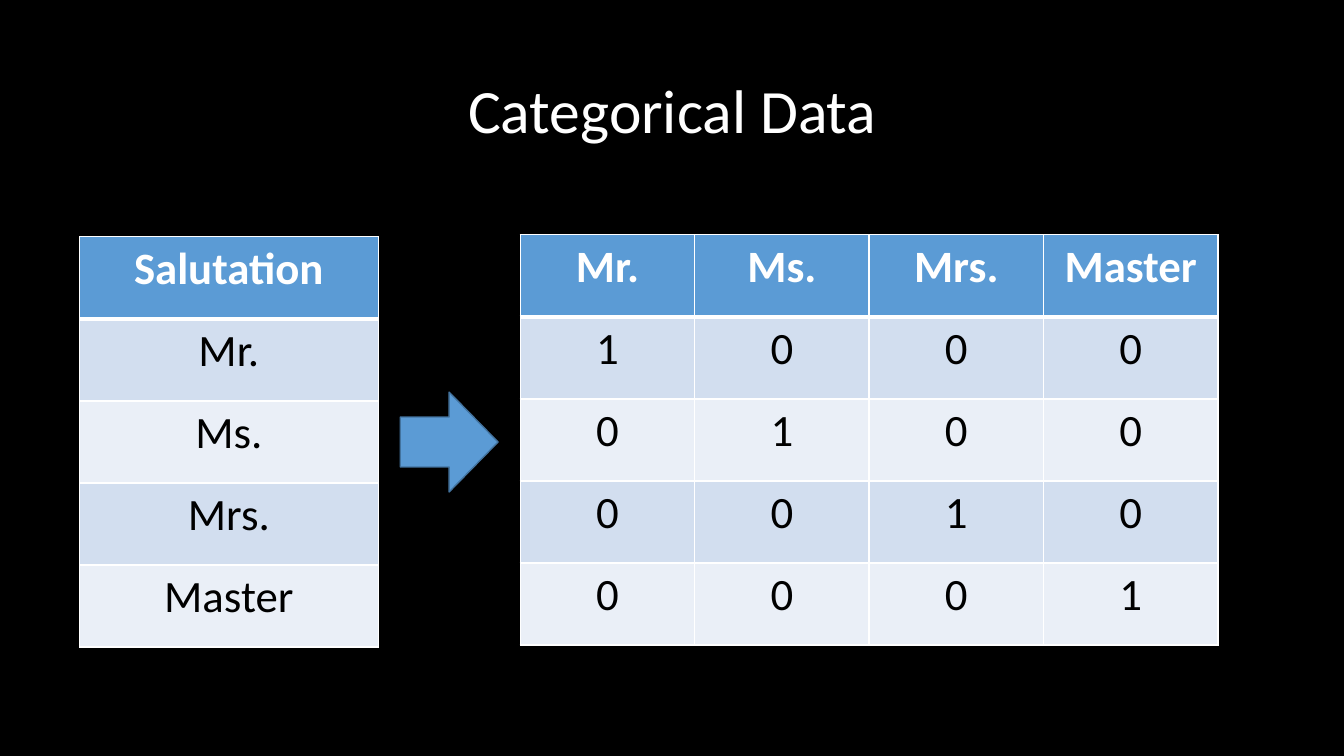
import pptx
import pptx.dml.color
import pptx.enum.shapes
import pptx.enum.text
import pptx.oxml.ns
import pptx.util
from lxml import etree
from pptx.dml.color import RGBColor
from pptx.util import Inches

BLACK = RGBColor(0x00, 0x00, 0x00)
WHITE = RGBColor(0xFF, 0xFF, 0xFF)
BLUE = RGBColor(0x5B, 0x9B, 0xD5)
DARK_BLUE = RGBColor(0x43, 0x73, 0x9E)
BAND_DARK = RGBColor(0xD2, 0xDE, 0xEF)
BAND_LIGHT = RGBColor(0xEA, 0xEF, 0xF7)

FONT = "Calibri"
ROW_HEIGHT = 0.814
CATEGORIES = ["Mr.", "Ms.", "Mrs.", "Master"]


def write_text(frame, text, size=32, color=BLACK, bold=False, line_spacing=None):
    para = frame.paragraphs[0]
    para.alignment = pptx.enum.text.PP_ALIGN.CENTER
    if line_spacing:
        para.line_spacing = line_spacing
    span = para.add_run()
    span.text = text
    span.font.name = FONT
    span.font.size = pptx.util.Pt(size)
    span.font.bold = bold
    span.font.color.rgb = color


def set_borders(cell, **widths):
    """Draw white cell borders; widths are points keyed by L, R, T and B."""
    properties = cell._tc.get_or_add_tcPr()
    for side, width in widths.items():
        line = etree.SubElement(properties, pptx.oxml.ns.qn(f"a:ln{side}"),
                                w=str(pptx.util.Pt(width)))
        fill = etree.SubElement(line, pptx.oxml.ns.qn("a:solidFill"))
        etree.SubElement(fill, pptx.oxml.ns.qn("a:srgbClr"), val=str(WHITE))


def add_title(slide, text):
    box = slide.shapes.add_textbox(Inches(0.92), Inches(0.4), Inches(11.5), Inches(1.45))
    frame = box.text_frame
    frame.word_wrap = True
    frame.vertical_anchor = pptx.enum.text.MSO_ANCHOR.MIDDLE
    write_text(frame, text, size=44, color=WHITE, line_spacing=0.9)


def add_banded_table(slide, rows, left, top, column_width):
    """Add a table whose first row is the header."""
    column_count = len(rows[0])
    table = slide.shapes.add_table(
        len(rows), column_count, Inches(left), Inches(top),
        Inches(column_width * column_count), Inches(ROW_HEIGHT * len(rows))).table
    for column in table.columns:
        column.width = Inches(column_width)
    for row_index, values in enumerate(rows):
        table.rows[row_index].height = Inches(ROW_HEIGHT)
        is_header = row_index == 0
        band = BAND_DARK if row_index % 2 else BAND_LIGHT
        for column_index, value in enumerate(values):
            cell = table.cell(row_index, column_index)
            set_borders(cell, L=1, R=1, T=3 if row_index == 1 else 1,
                        B=3 if is_header else 1)
            cell.fill.solid()
            cell.fill.fore_color.rgb = BLUE if is_header else band
            write_text(cell.text_frame, value, bold=is_header,
                       color=WHITE if is_header else BLACK)


def add_right_arrow(slide, left, top, width, height):
    arrow = slide.shapes.add_shape(
        pptx.enum.shapes.MSO_SHAPE.RIGHT_ARROW,
        Inches(left), Inches(top), Inches(width), Inches(height))
    arrow.shadow.inherit = False
    arrow.fill.solid()
    arrow.fill.fore_color.rgb = BLUE
    arrow.line.color.rgb = DARK_BLUE
    arrow.line.width = pptx.util.Pt(1)


def main():
    deck = pptx.Presentation()
    deck.slide_width = Inches(13.33)
    deck.slide_height = Inches(7.5)
    slide = deck.slides.add_slide(deck.slide_layouts[6])
    slide.background.fill.solid()
    slide.background.fill.fore_color.rgb = BLACK

    salutations = [["Salutation"]] + [[category] for category in CATEGORIES]
    one_hot = [CATEGORIES] + [
        ["1" if column == category else "0" for column in CATEGORIES]
        for category in CATEGORIES]

    add_title(slide, "Categorical Data")
    add_banded_table(slide, salutations, left=0.79, top=2.35, column_width=2.96)
    add_banded_table(slide, one_hot, left=5.16, top=2.33, column_width=1.73)
    add_right_arrow(slide, 3.97, 3.89, 0.97, 0.99)
    deck.save("out.pptx")


if __name__ == "__main__":
    main()
